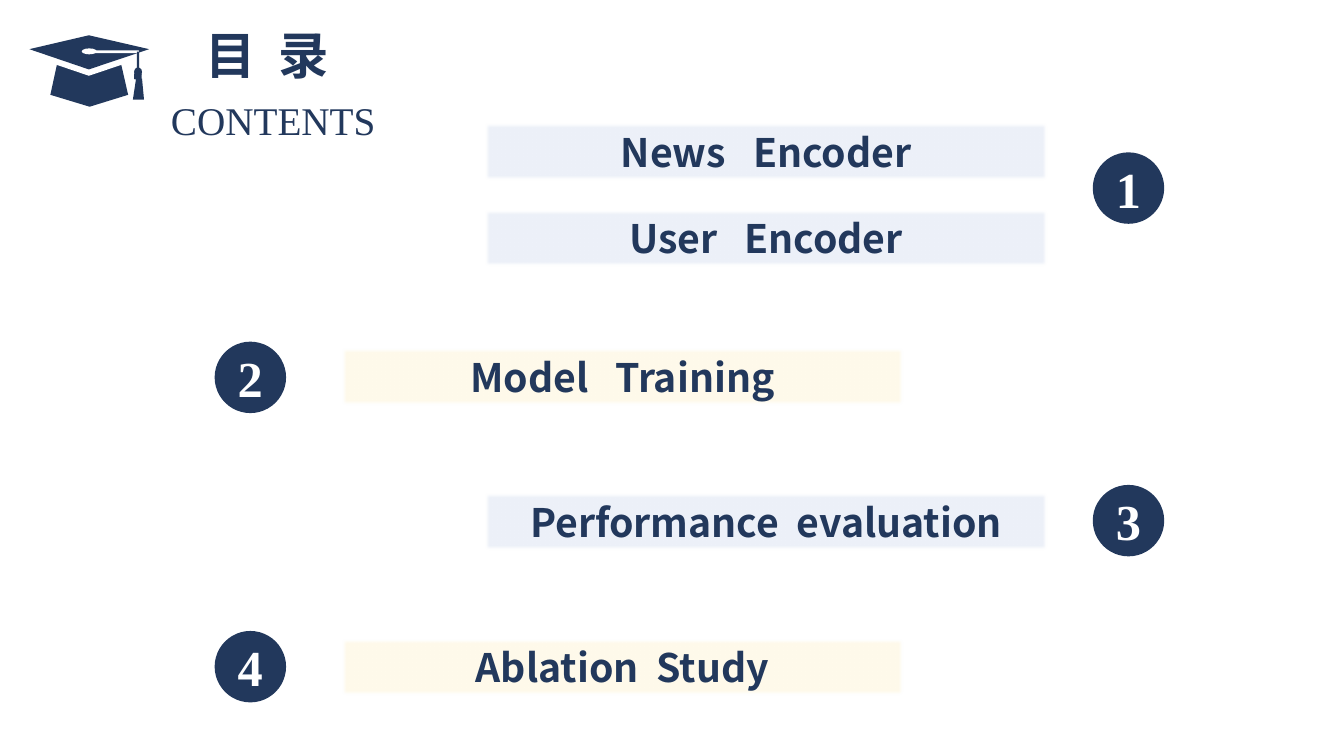
import dataclasses

import lxml.etree
import pptx
import pptx.dml.color
import pptx.enum.shapes
import pptx.enum.text
import pptx.oxml.ns
import pptx.util

Cm = pptx.util.Cm
Pt = pptx.util.Pt
RGBColor = pptx.dml.color.RGBColor
MSO_SHAPE = pptx.enum.shapes.MSO_SHAPE
MSO_ANCHOR = pptx.enum.text.MSO_ANCHOR
PP_ALIGN = pptx.enum.text.PP_ALIGN


@dataclasses.dataclass(frozen=True)
class Theme:
    navy: RGBColor = RGBColor.from_string("22385C")
    white: RGBColor = RGBColor.from_string("FFFFFF")
    pale_blue: RGBColor = RGBColor.from_string("EDF1F9")
    cream: RGBColor = RGBColor.from_string("FFFAEB")
    heading_font: str = "Noto Sans CJK SC"
    serif_font: str = "Times New Roman"
    large: int = 36
    medium: int = 28


THEME = Theme()


def paint(shape, color):
    shape.shadow.inherit = False
    shape.fill.solid()
    shape.fill.fore_color.rgb = color
    shape.line.fill.background()


def write(shape, words, font, size, color, bold=True, align=PP_ALIGN.CENTER, gap=0):
    """Set one line of words; gap widens the space between them, in points."""
    frame = shape.text_frame
    frame.word_wrap = True
    frame.auto_size = pptx.enum.text.MSO_AUTO_SIZE.NONE
    frame.vertical_anchor = MSO_ANCHOR.MIDDLE
    frame.margin_top = frame.margin_bottom = 0
    paragraph = frame.paragraphs[0]
    paragraph.alignment = align
    pieces = [words[0]]
    for word in words[1:]:
        pieces += [" ", word]
    for piece in pieces:
        run = paragraph.add_run()
        run.text = piece
        run.font.name = font
        run.font.size = Pt(size)
        run.font.bold = bold
        run.font.color.rgb = color
        properties = run.font._element
        east_asian = lxml.etree.SubElement(properties, pptx.oxml.ns.qn("a:ea"))
        east_asian.set("typeface", font)
        if piece == " ":
            properties.set("spc", str(round(gap * 100)))


presentation = pptx.Presentation()
presentation.slide_width = Cm(33.87)
presentation.slide_height = Cm(19.05)
slide = presentation.slides.add_slide(presentation.slide_layouts[5])

# Graduation cap: outlines in hundredths of a centimetre, then small parts in centimetres
cap = slide.shapes.add_group_shape()
cap_outlines = [
    (THEME.navy, [(323, 239), (226, 269), (127, 239), (147, 147), (302, 147)]),
    (THEME.white, [(376, 124), (224, 89), (74, 124), (74, 140), (224, 191), (376, 140)]),
    (THEME.navy, [(224, 175), (74, 124), (224, 89), (376, 124)]),
    (THEME.navy, [(343, 198), (358, 198), (363, 251), (335, 251)]),
]
for color, points in cap_outlines:
    builder = cap.shapes.build_freeform(*points[0], scale=Cm(0.01))
    builder.add_line_segments(points[1:], close=True)
    paint(builder.convert_to_shape(), color)

cap_parts = [
    (MSO_SHAPE.ROUNDED_RECTANGLE, THEME.white, (2.18, 1.27, 1.32, 0.07)),
    (MSO_SHAPE.ROUNDED_RECTANGLE, THEME.navy, (3.45, 1.3, 0.06, 0.48)),
    (MSO_SHAPE.OVAL, THEME.navy, (3.38, 1.7, 0.2, 0.23)),
    (MSO_SHAPE.ROUNDED_RECTANGLE, THEME.navy, (3.38, 1.85, 0.19, 0.15)),
    (MSO_SHAPE.OVAL, THEME.white, (2.06, 1.22, 0.38, 0.15)),
]
for kind, color, box in cap_parts:
    paint(cap.shapes.add_shape(kind, *map(Cm, box)), color)

# Headings
title = slide.shapes.title
title.left, title.top, title.width, title.height = map(Cm, (3.45, 0.48, 6.58, 1.8))
write(title, ["目", "录"], THEME.heading_font, THEME.large, THEME.navy, gap=8)

subtitle = slide.shapes.add_textbox(Cm(4.06), Cm(2.36), Cm(5.97), Cm(1.3))
write(subtitle, ["CONTENTS"], THEME.serif_font, THEME.medium, THEME.navy,
      bold=False, align=PP_ALIGN.LEFT)

# Sections: number circle top, then bars as (top, words, gap between words)
sections = [
    (3.84, [(3.1, ["News", "Encoder"], 13), (5.28, ["User", "Encoder"], 13)]),
    (8.61, [(8.76, ["Model", "Training"], 13)]),
    (12.22, [(12.42, ["Performance", "evaluation"], 6.5)]),
    (15.9, [(16.08, ["Ablation", "Study"], 6.5)]),
]
CIRCLE_SIZE = 1.8
BAR_WIDTH, BAR_HEIGHT = 14.17, 1.45
for number, (circle_top, bars) in enumerate(sections, start=1):
    if number % 2:
        circle_left, bar_left, bar_color = 27.54, 12.22, THEME.pale_blue
    else:
        circle_left, bar_left, bar_color = 5.41, 8.6, THEME.cream

    circle = slide.shapes.add_shape(MSO_SHAPE.OVAL, Cm(circle_left), Cm(circle_top),
                                    Cm(CIRCLE_SIZE), Cm(CIRCLE_SIZE))
    paint(circle, THEME.navy)
    write(circle, [str(number)], THEME.serif_font, THEME.large, THEME.white)

    for bar_top, words, gap in bars:
        bar = slide.shapes.add_shape(MSO_SHAPE.RECTANGLE, Cm(bar_left), Cm(bar_top),
                                     Cm(BAR_WIDTH), Cm(BAR_HEIGHT))
        paint(bar, bar_color)
        effects = bar._element.spPr.find(pptx.oxml.ns.qn("a:effectLst"))
        soft_edge = lxml.etree.SubElement(effects, pptx.oxml.ns.qn("a:softEdge"))
        soft_edge.set("rad", str(Pt(2.5)))
        write(bar, words, THEME.heading_font, THEME.medium, THEME.navy, gap=gap)

presentation.save("out.pptx")
